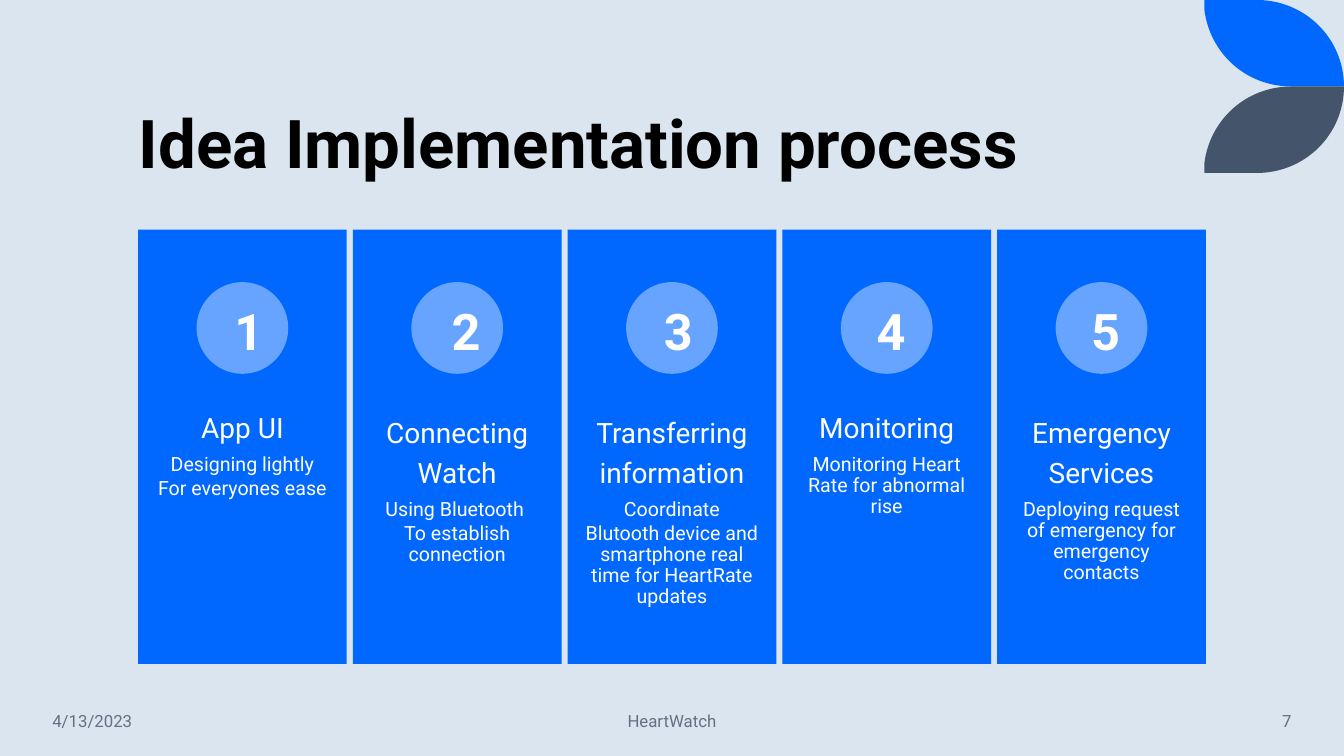
"""Build the "Idea Implementation process" slide with five numbered step cards."""
from pptx import Presentation
from pptx.dml.color import RGBColor
from pptx.enum.shapes import MSO_SHAPE
from pptx.enum.text import MSO_ANCHOR, PP_ALIGN
from pptx.oxml.ns import qn
from pptx.oxml.xmlchemy import OxmlElement
from pptx.util import Cm, Pt

COLORS = {
    "background": "DAE5EF", "blue": "0068FF", "slate": "44546A",
    "circle": "66A4FF", "title": "000000", "white": "FFFFFF", "footer": "637183",
}


def paint(shape, color):
    shape.shadow.inherit = False
    shape.fill.solid()
    shape.fill.fore_color.rgb = RGBColor.from_string(COLORS[color])
    shape.line.fill.background()


def add_text(place, lines, color, bold=False, align=PP_ALIGN.CENTER,
             anchor=MSO_ANCHOR.TOP, spacing=1.0, inset=None):
    """Add a text box; each line is (text, size, space after)."""
    box = page.shapes.add_textbox(*[Cm(length) for length in place])
    frame = box.text_frame
    frame.word_wrap = True
    frame.vertical_anchor = anchor
    if inset is not None:
        frame.margin_left = frame.margin_right = Cm(inset)
        frame.margin_top = frame.margin_bottom = Cm(inset)
    for index, (text, size, after) in enumerate(lines):
        para = frame.add_paragraph() if index else frame.paragraphs[0]
        para.alignment = align
        para.line_spacing = spacing
        para.space_after = Pt(after)
        span = para.add_run()
        span.text = text
        span.font.name = "Roboto"
        span.font.size = Pt(size)
        span.font.bold = bold
        span.font.color.rgb = RGBColor.from_string(COLORS[color])


deck = Presentation()
deck.slide_width, deck.slide_height = Cm(33.87), Cm(19.05)
page = deck.slides.add_slide(deck.slide_layouts[6])
page.background.fill.solid()
page.background.fill.fore_color.rgb = RGBColor.from_string(COLORS["background"])

leaf_left, leaf_height = 30.35, 2.18
outer_curve = [(2.54, 0), (3.52, 0.97), (3.52, leaf_height)]
inner_curve = [(1.04, leaf_height), (0.13, 1.33), (0, 0.23)]
outline = [(0, 0), (1.32, 0), *outer_curve, (2.2, leaf_height), *inner_curve]
for color, top, direction in [("blue", 0, 1), ("slate", 2 * leaf_height, -1)]:
    points = [(Cm(leaf_left + x), Cm(top + direction * y)) for x, y in outline]
    builder = page.shapes.build_freeform(*points[0])
    builder.add_line_segments(points[1:], close=True)
    leaf = builder.convert_to_shape()
    paint(leaf, color)
    segments = list(leaf._element.iter(qn("a:lnTo")))
    for first in (1, 5):
        bezier = OxmlElement("a:cubicBezTo")
        segments[first].addprevious(bezier)
        for segment in segments[first:first + 3]:
            bezier.append(segment[0])
            segment.getparent().remove(segment)

add_text((3.25, 1.07, 27.15, 3.68), [("Idea Implementation process", 48, 0)],
         "title", bold=True, align=PP_ALIGN.LEFT, anchor=MSO_ANCHOR.BOTTOM, spacing=0.9)

steps = [
    (["App UI"], ["Designing lightly", "For everyones ease"], 5.66),
    (["Connecting", "Watch"], ["Using Bluetooth ", "To establish connection"], 11.13),
    (["Transferring", "information"],
     ["Coordinate", "Blutooth device and smartphone real time for HeartRate updates"], 16.48),
    (["Monitoring"], ["Monitoring Heart Rate for abnormal rise"], 21.84),
    (["Emergency", "Services"],
     ["Deploying request of emergency for emergency contacts"], 27.25),
]
first_left, last_left, card_width = 3.48, 25.13, 5.26
card_pitch = (last_left - first_left) / (len(steps) - 1)
circle_size = 2.31
for index, (heading, details, number_left) in enumerate(steps):
    left = first_left + index * card_pitch
    card = page.shapes.add_shape(
        MSO_SHAPE.RECTANGLE, Cm(left), Cm(5.79), Cm(card_width), Cm(10.94))
    paint(card, "blue")
    lines = [(text, 20, 7) for text in heading] + [(text, 14, 2.1) for text in details]
    add_text((left, 10.16, card_width, 4.37), lines, "white", spacing=0.9,
             inset=0.28 if len(heading) == 1 else 0.4)
    circle_left = left + (card_width - circle_size) / 2
    circle = page.shapes.add_shape(
        MSO_SHAPE.OVAL, Cm(circle_left), Cm(7.11), Cm(circle_size), Cm(circle_size))
    paint(circle, "circle")
    add_text((number_left, 7.44, 0.97, 1.8), [(str(index + 1), 36, 0)], "white", bold=True)

for text, left, width, align in [
    ("4/13/2023", 1.07, 4.72, PP_ALIGN.LEFT),
    ("HeartWatch", 11.22, 11.43, PP_ALIGN.CENTER),
    ("7", 28.2, 4.6, PP_ALIGN.RIGHT),
]:
    add_text((left, 17.65, width, 1.02), [(text, 12, 0)], "footer",
             align=align, anchor=MSO_ANCHOR.MIDDLE)

deck.save("out.pptx")
